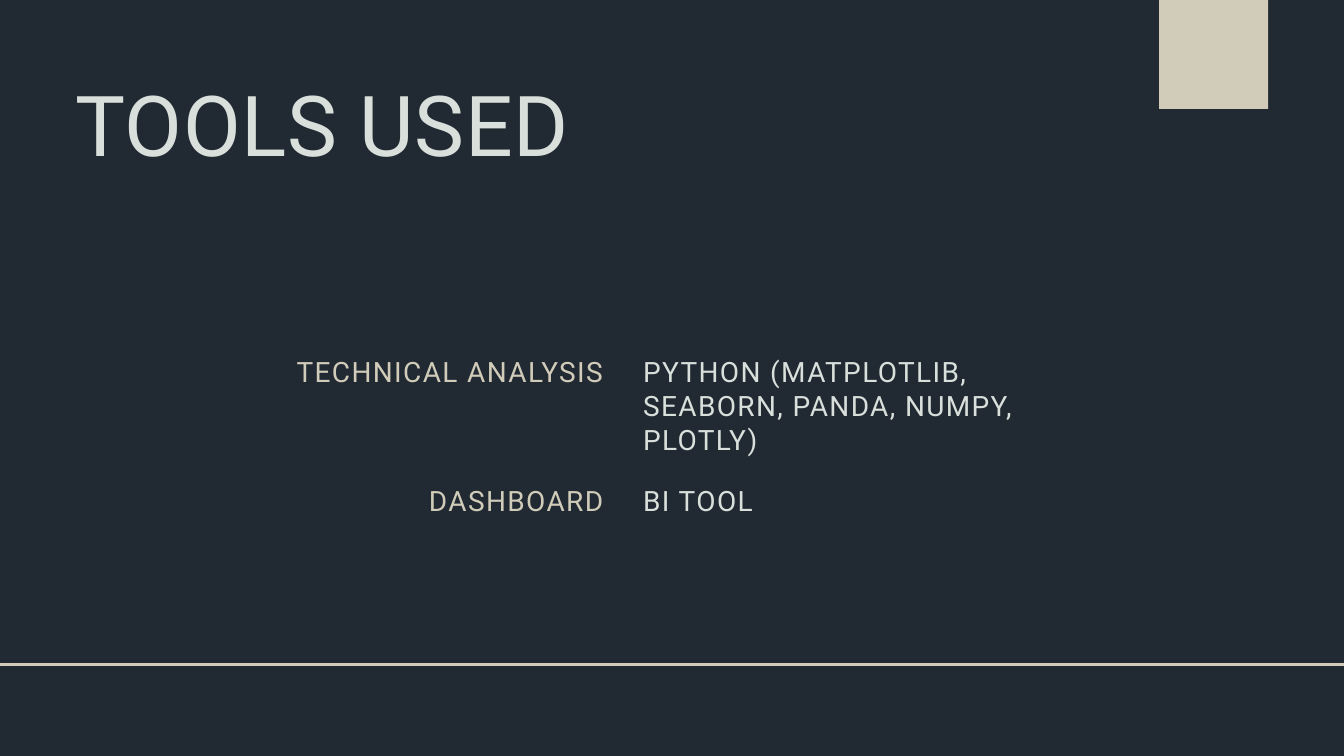
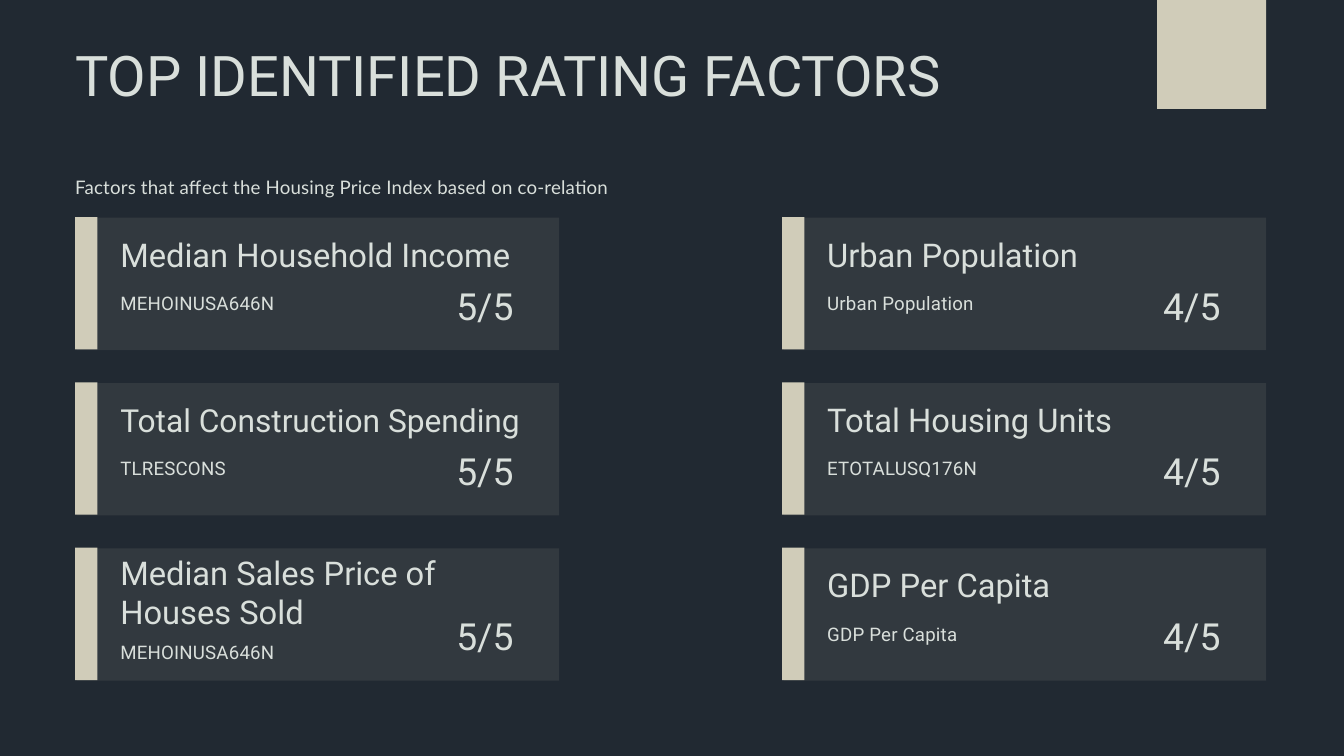
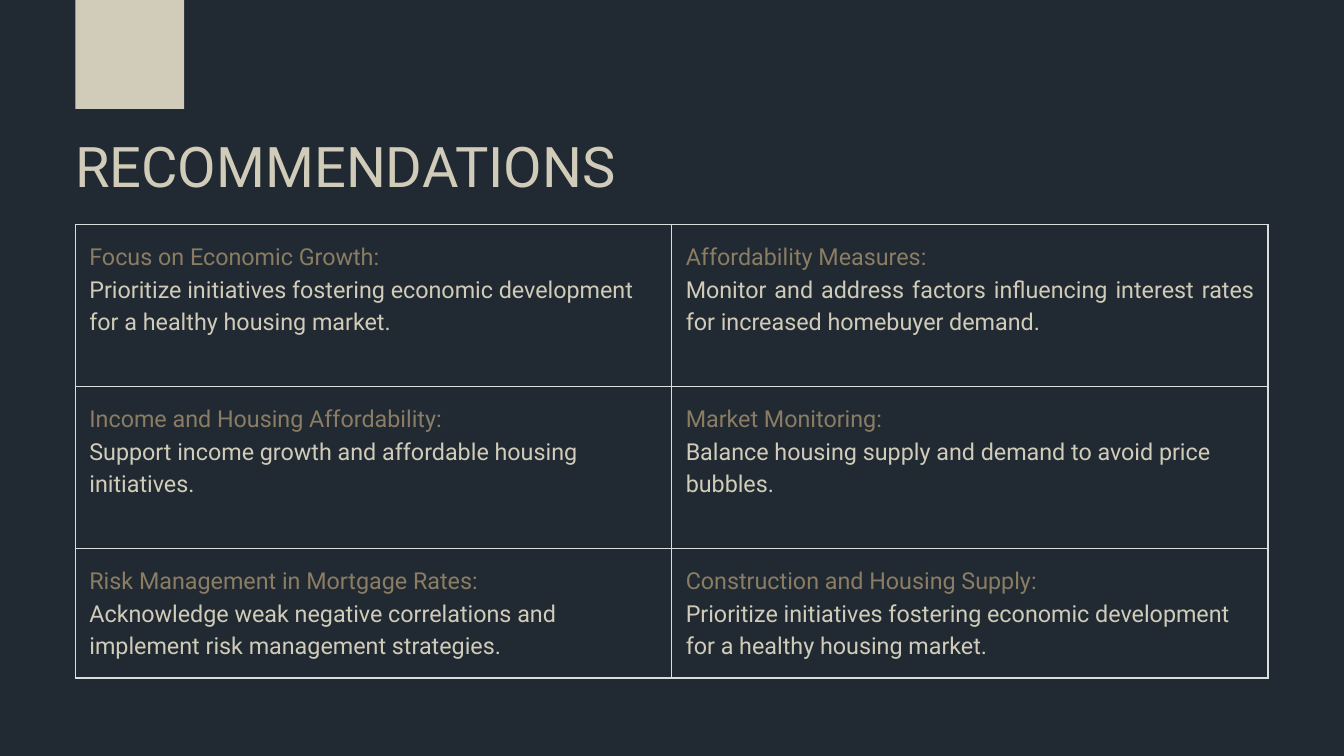
"""Build three slides on the tools, rating factors and recommendations of a housing study."""
from dataclasses import dataclass

from lxml.etree import SubElement
from pptx import Presentation
from pptx.dml.color import RGBColor
from pptx.enum.shapes import MSO_CONNECTOR, MSO_SHAPE
from pptx.enum.text import MSO_AUTO_SIZE, PP_ALIGN
from pptx.oxml import parse_xml
from pptx.oxml.ns import nsdecls, qn
from pptx.util import Inches, Pt

COLORS = {
    "background": "212932",
    "sand": "D0CCB9",
    "mist": "D9DFDB",
    "bronze": "8A7D63",
}
MARGIN = 1.12
SQUARE = 1.62


@dataclass
class TextStyle:
    size: float
    leading: float
    color: str = "mist"
    font: str = "Roboto"
    tracking: float = 0
    align: PP_ALIGN = PP_ALIGN.LEFT


@dataclass
class Tool:
    purpose: str
    names: str
    top: float
    height: float


@dataclass
class Card:
    title: str
    code: str
    score: str
    column: int
    row: int
    title_size: float = 35
    title_drop: float = 0.26
    title_height: float = 0.6
    code_drop: float = 1.03


@dataclass
class Advice:
    heading: str
    body: str
    align: PP_ALIGN = PP_ALIGN.LEFT


TITLE = TextStyle(60, 72)
SAND_TITLE = TextStyle(60, 72, "sand")
BIG_TITLE = TextStyle(90, 99, tracking=0.8)
PURPOSE = TextStyle(30, 36, "sand", tracking=1.5, align=PP_ALIGN.RIGHT)
TOOL_NAMES = TextStyle(30, 36, tracking=1.5)
INTRO = TextStyle(20, 30, font="Lato", tracking=0.2)
CODE = TextStyle(20, 30, tracking=0.2)
SCORE = TextStyle(40, 48)

TOOLS = [
    Tool("TECHNICAL ANALYSIS", "PYTHON (MATPLOTLIB, SEABORN, PANDA, NUMPY, PLOTLY)", 5.28, 1.52),
    Tool("DASHBOARD", "BI TOOL", 7.19, 0.52),
]
CARDS = [
    Card("Median Household Income", "MEHOINUSA646N", "5/5", 0, 0),
    Card("Total Construction Spending", "TLRESCONS", "5/5", 0, 1, title_size=34, title_drop=0.28),
    Card("Median Sales Price of Houses Sold", "MEHOINUSA646N", "5/5", 0, 2,
         title_drop=0.08, title_height=1.19, code_drop=1.31),
    Card("Urban Population", "Urban Population", "4/5", 1, 0),
    Card("Total Housing Units", "ETOTALUSQ176N", "4/5", 1, 1),
    Card("GDP Per Capita", "GDP Per Capita", "4/5", 1, 2),
]
ADVICE = [
    [Advice("Focus on Economic Growth:",
            "Prioritize initiatives fostering economic development for a healthy housing market."),
     Advice("Affordability Measures:",
            "Monitor and address factors influencing interest rates for increased homebuyer demand.",
            PP_ALIGN.JUSTIFY)],
    [Advice("Income and Housing Affordability:",
            "Support income growth and affordable housing initiatives."),
     Advice("Market Monitoring:",
            "Balance housing supply and demand to avoid price bubbles.")],
    [Advice("Risk Management in Mortgage Rates:",
            "Acknowledge weak negative correlations and implement risk management strategies."),
     Advice("Construction and Housing Supply:",
            "Prioritize initiatives fostering economic development for a healthy housing market.")],
]
ROW_HEIGHTS = [2.41, 2.41, 1.93]


def rgb(name: str) -> RGBColor:
    return RGBColor.from_string(COLORS[name])


def add_slide(presentation):
    slide = presentation.slides.add_slide(presentation.slide_layouts[6])
    slide.background.fill.solid()
    slide.background.fill.fore_color.rgb = rgb("background")
    return slide


def write(paragraph, text: str, style: TextStyle) -> None:
    paragraph.text = text
    paragraph.alignment = style.align
    paragraph.line_spacing = Pt(style.leading)
    font = paragraph.font
    font.name = style.font
    font.size = Pt(style.size)
    font.color.rgb = rgb(style.color)
    if style.tracking:
        properties = paragraph._p.get_or_add_pPr().find(qn("a:defRPr"))
        properties.set("spc", str(round(style.tracking * 100)))


def add_text(slide, text: str, left: float, top: float, width: float, height: float,
             style: TextStyle) -> None:
    box = slide.shapes.add_textbox(Inches(left), Inches(top), Inches(width), Inches(height))
    frame = box.text_frame
    frame.word_wrap = True
    frame.auto_size = MSO_AUTO_SIZE.SHAPE_TO_FIT_TEXT
    frame.margin_left = frame.margin_right = frame.margin_top = frame.margin_bottom = 0
    write(frame.paragraphs[0], text, style)


def add_block(slide, left: float, top: float, width: float, height: float,
              opacity: int = 100) -> None:
    shape = slide.shapes.add_shape(
        MSO_SHAPE.RECTANGLE, Inches(left), Inches(top), Inches(width), Inches(height))
    shape.shadow.inherit = False
    shape.line.fill.background()
    shape.fill.solid()
    shape.fill.fore_color.rgb = rgb("sand")
    if opacity < 100:
        color = shape._element.spPr.find(qn("a:solidFill"))[0]
        SubElement(color, qn("a:alpha")).set("val", str(opacity * 1000))


def add_corner_square(slide, left: float) -> None:
    add_block(slide, left, 0, SQUARE, SQUARE)


def add_rule(slide, top: float) -> None:
    rule = slide.shapes.add_connector(
        MSO_CONNECTOR.STRAIGHT, 0, Inches(top), Inches(20), Inches(top))
    rule.line.color.rgb = rgb("sand")
    rule.line.width = Pt(3)
    SubElement(rule._element.spPr, qn("a:effectLst"))


def add_card(slide, card: Card) -> None:
    left = MARGIN + 10.52 * card.column
    top = 3.23 + 2.46 * card.row
    text_left = left + 0.67
    add_block(slide, left + 0.02, top + 0.01, 7.18, 1.97, opacity=10)
    add_block(slide, left, top, 0.33, 1.97)
    title_style = TextStyle(card.title_size, card.title_size * 1.2)
    add_text(slide, card.title, text_left, top + card.title_drop, 6.23, card.title_height, title_style)
    add_text(slide, card.code, text_left, top + card.code_drop, 6.23, 0.4, CODE)
    add_text(slide, card.score, left + 5.67, top + 0.98, 0.95, 0.66, SCORE)


def add_borders(cell) -> None:
    properties = cell._tc.get_or_add_tcPr()
    for index, side in enumerate(("lnL", "lnR", "lnT", "lnB")):
        properties.insert(index, parse_xml(
            f'<a:{side} {nsdecls("a")} w="{Pt(1.5)}"><a:solidFill>'
            f'<a:srgbClr val="{COLORS["mist"]}"/></a:solidFill></a:{side}>'))


def fill_cell(cell, advice: Advice) -> None:
    cell.fill.background()
    cell.margin_left = cell.margin_right = cell.margin_top = cell.margin_bottom = Inches(0.21)
    frame = cell.text_frame
    write(frame.paragraphs[0], advice.heading, TextStyle(25, 35, "bronze", align=advice.align))
    write(frame.add_paragraph(), advice.body, TextStyle(25, 35, "sand", align=advice.align))
    add_borders(cell)


def build_tools(presentation) -> None:
    slide = add_slide(presentation)
    add_rule(slide, 9.89)
    add_text(slide, "TOOLS USED", MARGIN, 1.2, 8.88, 1.43, BIG_TITLE)
    for tool in TOOLS:
        add_text(slide, tool.purpose, 3.91, tool.top, 5.07, 0.52, PURPOSE)
        add_text(slide, tool.names, 9.57, tool.top, 6.52, tool.height, TOOL_NAMES)
    add_corner_square(slide, 17.25)


def build_factors(presentation) -> None:
    slide = add_slide(presentation)
    add_text(slide, "TOP IDENTIFIED RATING FACTORS", MARGIN, 0.6, 12.94, 2.02, TITLE)
    add_corner_square(slide, 17.22)
    add_text(slide, "Factors that affect the Housing Price Index based on co-relation",
             MARGIN, 2.54, 12.94, 0.42, INTRO)
    for card in CARDS:
        add_card(slide, card)


def build_recommendations(presentation) -> None:
    slide = add_slide(presentation)
    table = slide.shapes.add_table(
        len(ADVICE), 2, Inches(MARGIN), Inches(3.34), Inches(17.75), Inches(sum(ROW_HEIGHTS))).table
    table.first_row = table.horz_banding = False
    for row, height, row_advice in zip(table.rows, ROW_HEIGHTS, ADVICE):
        row.height = Inches(height)
        for cell, advice in zip(row.cells, row_advice):
            fill_cell(cell, advice)
    add_text(slide, "RECOMMENDATIONS", MARGIN, 1.96, 9.76, 1.02, SAND_TITLE)
    add_corner_square(slide, MARGIN)


def main() -> None:
    presentation = Presentation()
    presentation.slide_width = Inches(20)
    presentation.slide_height = Inches(11.25)
    build_tools(presentation)
    build_factors(presentation)
    build_recommendations(presentation)
    presentation.save("out.pptx")


if __name__ == "__main__":
    main()
